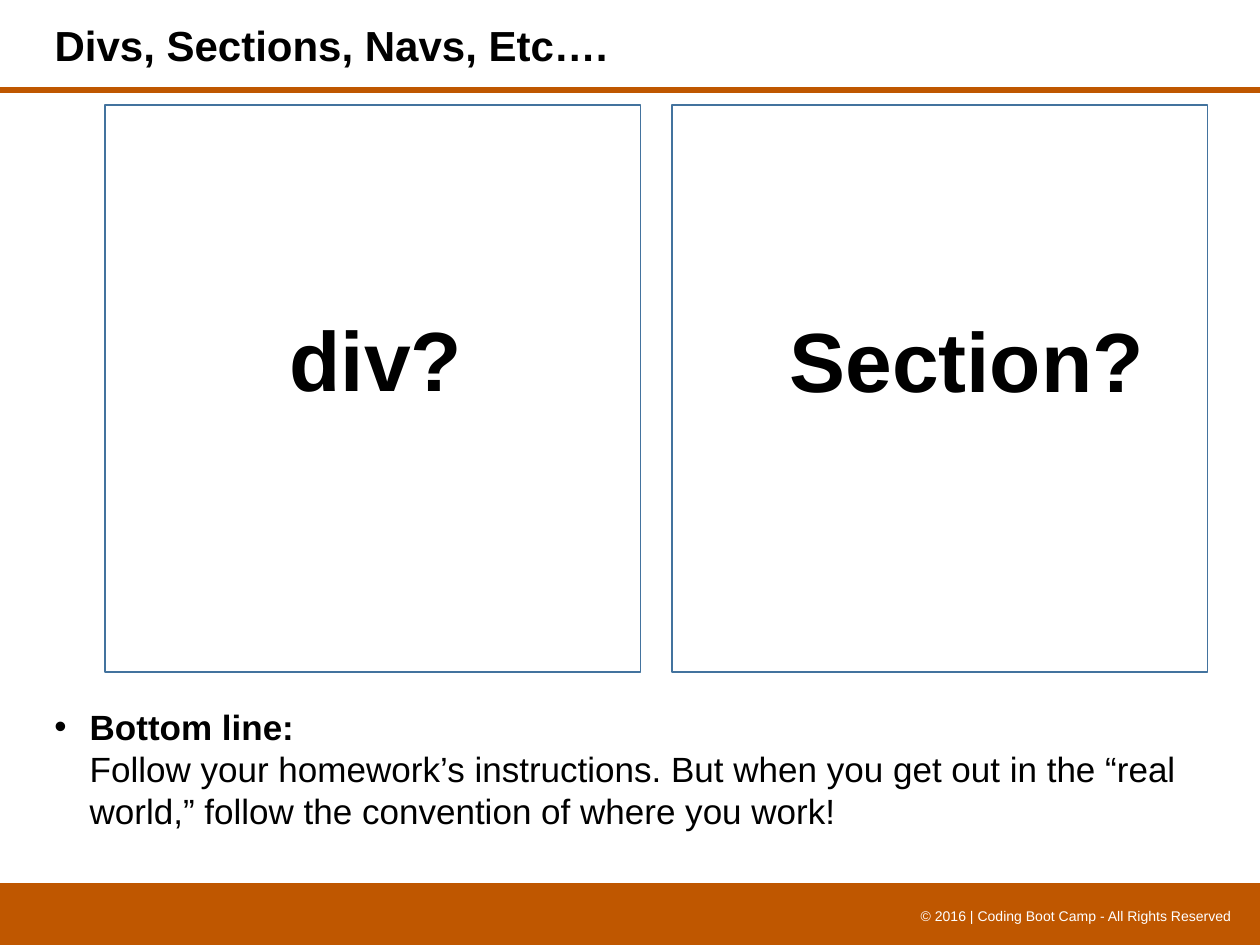
from lxml.etree import SubElement
from pptx import Presentation
from pptx.dml.color import RGBColor
from pptx.enum.shapes import MSO_CONNECTOR, MSO_SHAPE
from pptx.enum.text import MSO_ANCHOR, MSO_AUTO_SIZE, PP_ALIGN
from pptx.oxml.ns import qn
from pptx.util import Inches, Pt

COLORS = {"accent": "BF5700", "panel": "43739E", "ink": "000000", "paper": "FFFFFF"}
COLUMNS, ROWS = 120, 90
CELLS_PER_INCH = 12


def cells(*counts):
    return [Inches(count / CELLS_PER_INCH) for count in counts]


def color(name):
    return RGBColor.from_string(COLORS[name])


def write(paragraph, text, size=20, bold=False, ink="ink", font="Arial"):
    run = paragraph.add_run()
    run.text = text
    run.font.name = font
    run.font.size = Pt(size)
    run.font.bold = bold
    run.font.color.rgb = color(ink)


class SlideBuilder:
    """Places elements on one slide, in grid cells (left, top, width, height)."""

    def __init__(self, presentation):
        self.slide = presentation.slides.add_slide(presentation.slide_layouts[5])
        self.shapes = self.slide.shapes
        fill = self.slide.background.fill
        fill.solid()
        fill.fore_color.rgb = color("paper")

    def title(self, text, *place):
        title = self.shapes.title
        title.left, title.top, title.width, title.height = cells(*place)
        frame = title.text_frame
        frame.word_wrap = True
        frame.auto_size = MSO_AUTO_SIZE.NONE
        frame.vertical_anchor = MSO_ANCHOR.TOP
        frame.paragraphs[0].alignment = PP_ALIGN.LEFT
        write(frame.paragraphs[0], text, size=24, bold=True)

    def box(self, *place, fill=None, line=None):
        box = self.shapes.add_shape(MSO_SHAPE.RECTANGLE, *cells(*place))
        box.shadow.inherit = False
        if fill:
            box.fill.solid()
            box.fill.fore_color.rgb = color(fill)
        else:
            box.fill.background()
        if line:
            box.line.color.rgb = color(line)
            box.line.width = Pt(1)
        else:
            box.line.fill.background()

    def rule(self, row):
        rule = self.shapes.add_connector(
            MSO_CONNECTOR.STRAIGHT, *cells(0, row, COLUMNS, row))
        rule.line.color.rgb = color("accent")
        rule.line.width = Pt(3.25)
        SubElement(rule._element.spPr, qn("a:effectLst"))

    def text_frame(self, *place, wrap=True):
        frame = self.shapes.add_textbox(*cells(*place)).text_frame
        frame.word_wrap = wrap
        return frame

    def label(self, text, *place, wrap=True, align=PP_ALIGN.LEFT, **style):
        paragraph = self.text_frame(*place, wrap=wrap).paragraphs[0]
        paragraph.alignment = align
        write(paragraph, text, **style)

    def bullet(self, heading, body, *place):
        frame = self.text_frame(*place)
        frame.margin_top = frame.margin_bottom = Inches(0.1)
        paragraph = frame.paragraphs[0]
        properties = paragraph._p.get_or_add_pPr()
        indent = Inches(0.28)
        properties.set("marL", str(indent))
        properties.set("indent", str(-indent))
        SubElement(properties, qn("a:buFont"), typeface="Arial")
        SubElement(properties, qn("a:buChar"), char="•")
        write(paragraph, heading, bold=True)
        paragraph.add_line_break()
        write(paragraph, body)


def main():
    presentation = Presentation()
    presentation.slide_width, presentation.slide_height = cells(COLUMNS, ROWS)
    builder = SlideBuilder(presentation)

    footer_top = 84.1
    builder.box(0, footer_top, COLUMNS, ROWS - footer_top, fill="accent")
    builder.rule(8.6)
    builder.label("© 2016 | Coding Boot Camp - All Rights Reserved",
                  82, 85.8, 36.5, 2.9, align=PP_ALIGN.RIGHT, size=8, ink="paper")

    builder.title("Divs, Sections, Navs, Etc….", 4, 1.3, 75, 6)
    builder.bullet(
        "Bottom line:",
        "Follow your homework’s instructions. But when you get out in the "
        "“real world,” follow the convention of where you work!",
        4, 66, 114.6, 16)

    panel_width, gap = 51, 3
    panels = [("div?", 26.4, 28.7, 19), ("Section?", 74, 28.8, 36.6)]
    for index, (choice, left, top, width) in enumerate(panels):
        builder.box(10 + index * (panel_width + gap), 10, panel_width, 54, line="panel")
        builder.label(choice, left, top, width, 10.9, wrap=False, size=48, bold=True)

    presentation.save("out.pptx")


if __name__ == "__main__":
    main()
